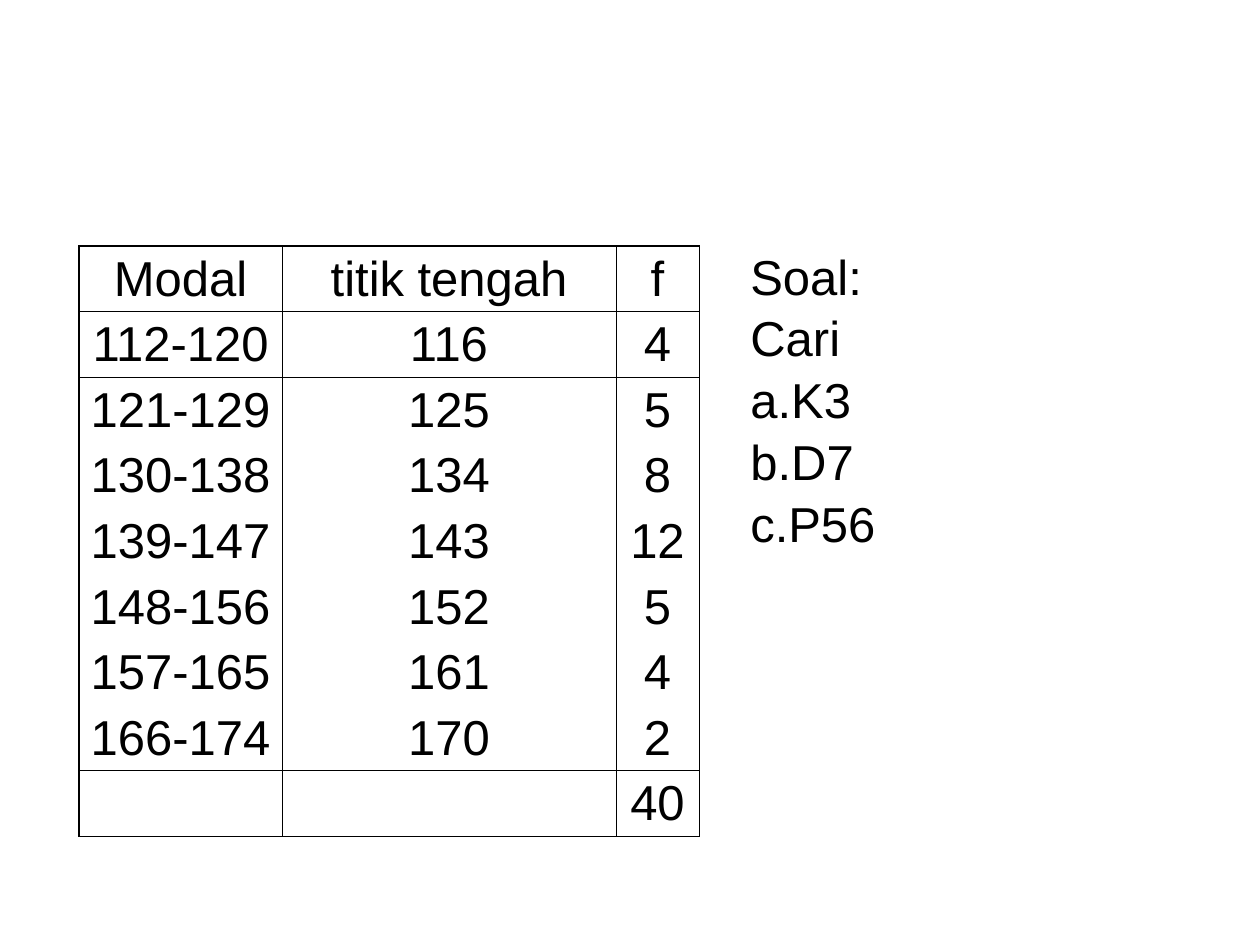
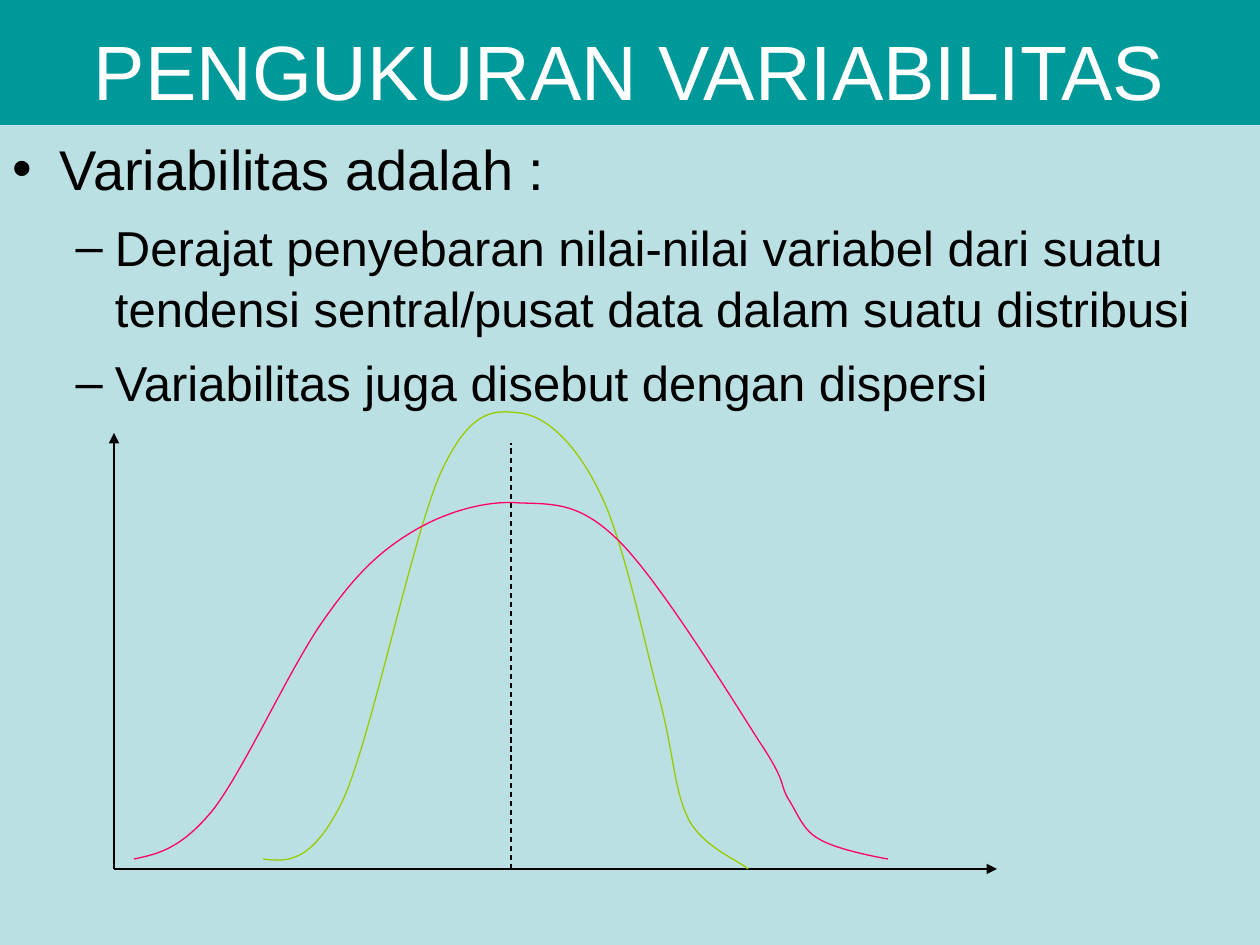
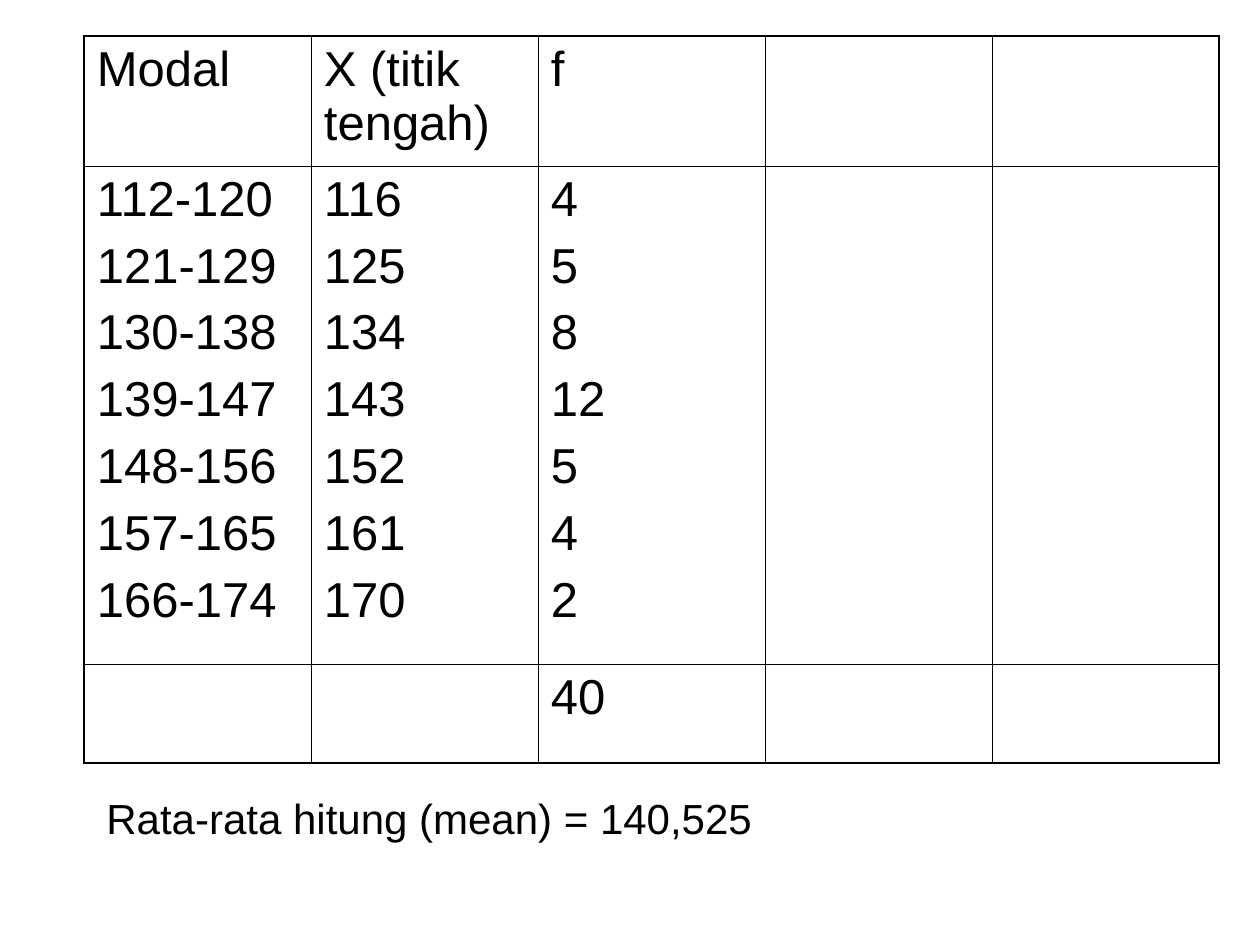
from pptx import Presentation
from pptx.dml.color import RGBColor
from pptx.enum.dml import MSO_LINE
from pptx.enum.shapes import MSO_CONNECTOR
from pptx.enum.text import MSO_ANCHOR, MSO_AUTO_SIZE, PP_ALIGN
from pptx.oxml.ns import qn
from pptx.util import Pt
from lxml.etree import SubElement

COLORS = {
    "text": "000000", "title": "FFFFFF", "band": "009999", "panel": "BBE0E3",
    "narrow": "99CC00", "wide": "FF0066",
}
FONT = "Arial"
LINE_SPACING = 1.05
THIN = 0.45
NO_STYLE = "{2D5ABB26-0587-4C30-8999-92F81FD0307C}"

# Frequency distribution shown on the first and last slide
CLASSES = ["112-120", "121-129", "130-138", "139-147", "148-156", "157-165", "166-174"]
MIDPOINTS = ["116", "125", "134", "143", "152", "161", "170"]
COUNTS = ["4", "5", "8", "12", "5", "4", "2"]
TOTAL = "40"

# Bezier points as (right of, above) the chart origin
NARROW_CURVE = [
    (149, 10), (173, 7), (198, 5), (229, 69), (258, 133), (298, 332), (327, 397),
    (357, 461), (380, 459), (406, 456), (433, 453), (463, 424), (486, 376),
    (510, 328), (531, 223), (546, 168), (560, 114), (560, 78), (575, 49),
    (590, 21), (626, 8), (634, 0),
]
WIDE_CURVE = [
    (20, 10), (44, 15), (67, 20), (99, 59), (130, 99), (176, 201), (209, 248),
    (241, 294), (265, 317), (298, 337), (331, 357), (372, 369), (406, 366),
    (442, 365), (467, 366), (506, 327), (546, 287), (617, 172), (645, 128),
    (674, 85), (665, 85), (675, 69), (685, 53), (689, 39), (705, 30),
    (721, 20), (762, 12), (774, 10),
]


def px(v):
    return round(v * 914400 / 126)


def rgb(name):
    return RGBColor.from_string(COLORS[name])


def style_paragraph(p, size, color="text", before=0, spacing=None):
    p.space_before = Pt(before)
    if spacing:
        p.line_spacing = spacing
    for r in p.runs:
        r.font.name = FONT
        r.font.size = Pt(size)
        r.font.color.rgb = rgb(color)


def style_line(line, color, width=0.74):
    line.color.rgb = rgb(color)
    line.width = Pt(width)


# Tables
def add_border(cell, side, width):
    ln = SubElement(cell._tc.get_or_add_tcPr(), qn("a:ln" + side), w=str(Pt(width)))
    fill = SubElement(ln, qn("a:solidFill"))
    SubElement(fill, qn("a:srgbClr"), val=COLORS["text"])


def add_grid(slide, left, top, widths, heights, rows, edges, rules,
             inset, align=PP_ALIGN.LEFT, before=0):
    """Draw a table; rules holds the row boundaries that carry a line."""
    frame = slide.shapes.add_table(len(heights), len(widths), px(left), px(top),
                                   px(sum(widths)), px(sum(heights)))
    table = frame.table
    table.first_row = table.horz_banding = False
    table._tbl.tblPr.find(qn("a:tableStyleId")).text = NO_STYLE
    for column, width in zip(table.columns, widths):
        column.width = px(width)
    for row, height in zip(table.rows, heights):
        row.height = px(height)
    last_row, last_col = len(heights) - 1, len(widths) - 1
    for i, texts in enumerate(rows):
        for j, text in enumerate(texts):
            cell = table.cell(i, j)
            cell.margin_left = cell.margin_right = px(inset)
            cell.margin_top, cell.margin_bottom = px(6), px(5)
            if text:
                cell.text = text
                for p in cell.text_frame.paragraphs:
                    p.alignment = align
                    style_paragraph(p, 28, before=before)
            add_border(cell, "L", edges["L"] if j == 0 else THIN)
            add_border(cell, "R", edges["R"] if j == last_col else THIN)
            if i in rules:
                add_border(cell, "T", edges["T"] if i == 0 else THIN)
            if i + 1 in rules:
                add_border(cell, "B", edges["B"] if i == last_row else THIN)
            cell.fill.background()


# Text boxes
def add_text(slide, box, lines, size, before=0, numbered_from=None):
    sp = slide.shapes.add_textbox(*map(px, box))
    tf = sp.text_frame
    tf.word_wrap = True
    tf.text = "\n".join(lines)
    for i, p in enumerate(tf.paragraphs):
        style_paragraph(p, size, before=before, spacing=LINE_SPACING)
        if numbered_from is not None and i >= numbered_from:
            SubElement(p._p.get_or_add_pPr(), qn("a:buAutoNum"), type="alphaLcPeriod")


# Title band and bulleted panel
def fill_placeholder(sp, box, fill, lines, color="text"):
    """Fill a placeholder with (text, level, size, space before) lines."""
    sp.left, sp.top, sp.width, sp.height = map(px, box)
    sp.fill.solid()
    sp.fill.fore_color.rgb = rgb(fill)
    tf = sp.text_frame
    tf.auto_size = MSO_AUTO_SIZE.NONE
    tf.text = "\n".join(line[0] for line in lines)
    for p, (_, level, size, before) in zip(tf.paragraphs, lines):
        p.level = level
        style_paragraph(p, size, color, before, LINE_SPACING)
    return tf


# Distribution chart
def add_line(slide, start, end, arrow=False, dash=False):
    sp = slide.shapes.add_connector(MSO_CONNECTOR.STRAIGHT, *map(px, start + end))
    style_line(sp.line, "text")
    if dash:
        sp.line.dash_style = MSO_LINE.DASH
    if arrow:
        SubElement(sp.line._get_or_add_ln(), qn("a:tailEnd"), type="triangle")
    SubElement(sp._element.spPr, qn("a:effectLst"))


def add_curve(slide, origin, points, color):
    x0, y0 = origin
    spots = [(px(x0 + x), px(y0 - y)) for x, y in points]
    builder = slide.shapes.build_freeform(*spots[0])
    builder.add_line_segments(spots[1:], close=False)
    sp = builder.convert_to_shape()
    sp.shadow.inherit = False
    sp.fill.background()
    style_line(sp.line, color)
    # Every three straight segments become one cubic segment
    outline = next(sp._element.iter(qn("a:path")))
    segments = outline.findall(qn("a:lnTo"))
    for i in range(0, len(segments), 3):
        cubic = SubElement(outline, qn("a:cubicBezTo"))
        for segment in segments[i:i + 3]:
            cubic.append(segment[0])
            outline.remove(segment)


def add_distribution(slide, left, top, width, height):
    bottom = top + height
    origin = (left, bottom)
    add_line(slide, origin, (left + width, bottom), arrow=True)
    add_line(slide, origin, (left, top), arrow=True)
    add_line(slide, (left + 397, bottom), (left + 397, top + 10), dash=True)
    add_curve(slide, origin, NARROW_CURVE, "narrow")
    add_curve(slide, origin, WIDE_CURVE, "wide")


# Slides
def exercise_slide(prs):
    slide = prs.slides.add_slide(prs.slide_layouts[6])
    rows = [("Modal", "titik tengah", "f"), *zip(CLASSES, MIDPOINTS, COUNTS),
            ("", "", TOTAL)]
    add_grid(slide, 79, 246, [203, 334, 83], [63] + [61] * 8, rows,
             edges={"L": 0.74, "R": THIN, "T": 0.74, "B": 0.74},
             rules={0, 1, 8, 9}, inset=1, align=PP_ALIGN.CENTER)
    add_text(slide, (738, 237, 462, 307), ["Soal:", "Cari", "K3", "D7", "P56"], 28,
             numbered_from=2)


def variability_slide(prs):
    slide = prs.slides.add_slide(prs.slide_layouts[1])
    title, body = slide.placeholders
    tf = fill_placeholder(title, (0, 0, 1260, 135), "band",
                          [("PENGUKURAN VARIABILITAS", 0, 44, 0)], "title")
    tf.vertical_anchor = MSO_ANCHOR.MIDDLE
    fill_placeholder(body, (0, 125, 1260, 820), "panel", [
        ("Variabilitas adalah :", 0, 32, 8),
        ("Derajat penyebaran nilai-nilai variabel dari suatu tendensi "
         "sentral/pusat data dalam suatu distribusi", 1, 28, 7),
        ("Variabilitas juga disebut dengan dispersi", 1, 28, 7),
    ])
    add_distribution(slide, 114, 433, 883, 436)


def mean_slide(prs):
    slide = prs.slides.add_slide(prs.slide_layouts[6])
    columns = ["\n".join(values) for values in (CLASSES, MIDPOINTS, COUNTS)]
    rows = [("Modal", "X (titik tengah)", "f", "", ""), (*columns, "", ""),
            ("", "", TOTAL, "", "")]
    add_grid(slide, 84, 36, [227] * 5, [130, 498, 99], rows,
             edges=dict.fromkeys("LRTB", 1.08), rules={0, 1, 2, 3},
             inset=13, before=7)
    add_text(slide, (94, 784, 1101, 63), ["Rata-rata hitung (mean) = 140,525"], 24,
             before=15)


prs = Presentation()
prs.slide_width, prs.slide_height = px(1260), px(945)
exercise_slide(prs)
variability_slide(prs)
mean_slide(prs)
prs.save("out.pptx")
